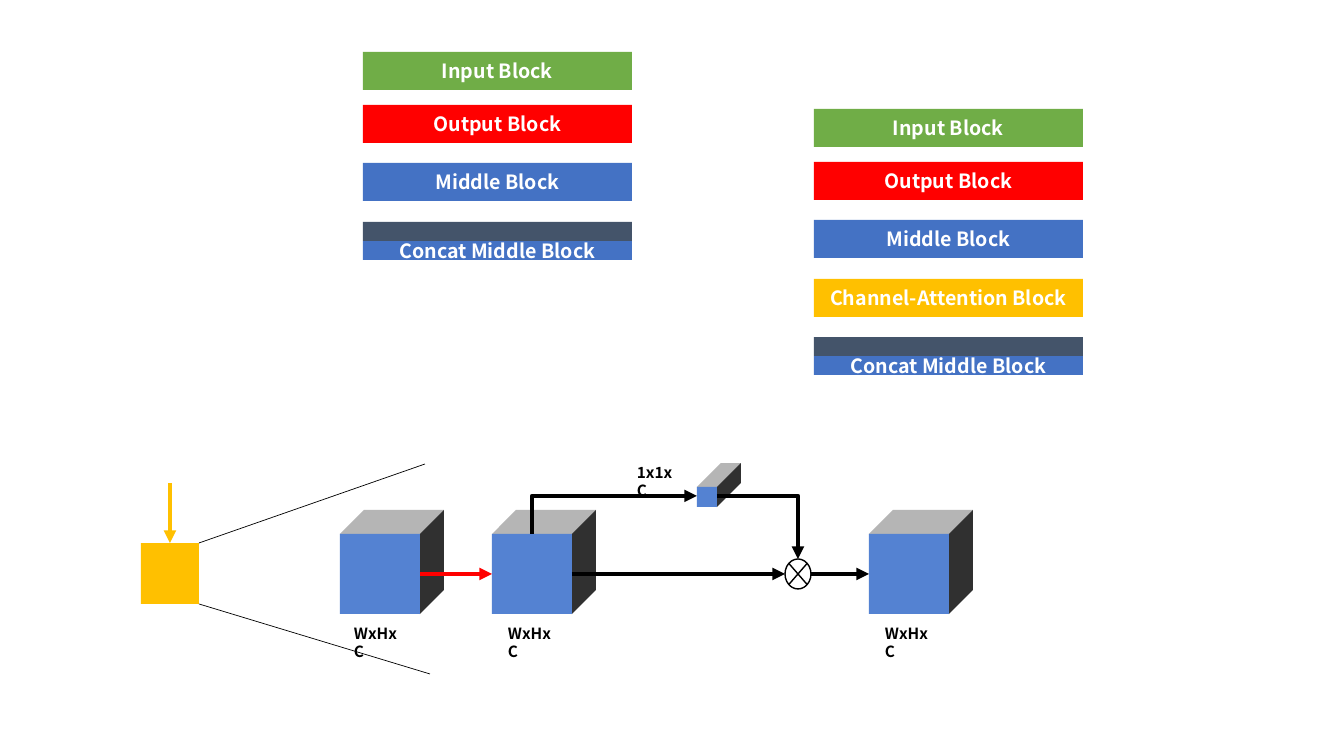
from lxml import etree
from pptx import Presentation
from pptx.dml.color import RGBColor
from pptx.enum.shapes import MSO_CONNECTOR as Link, MSO_SHAPE as Shape
from pptx.enum.text import MSO_ANCHOR as Anchor, PP_ALIGN as Align
from pptx.oxml.ns import qn
from pptx.util import Pt

PX = 914400 / 100.8
FONT = "Noto Sans CJK SC"
BLACK = RGBColor(0x00, 0x00, 0x00)
WHITE = RGBColor(0xFF, 0xFF, 0xFF)
GREEN = RGBColor(0x70, 0xAD, 0x47)
RED = RGBColor(0xFF, 0x00, 0x00)
BLUE = RGBColor(0x44, 0x72, 0xC4)
AMBER = RGBColor(0xFF, 0xC0, 0x00)
SLATE = RGBColor(0x44, 0x54, 0x6A)
FRONT = RGBColor(0x54, 0x82, 0xD2)
LID = RGBColor(0xB5, 0xB5, 0xB5)
SIDE = RGBColor(0x30, 0x30, 0x30)

TOP, LEFT, RIGHT = 0, 1, 3
BLOCK_WIDTH, BLOCK_HEIGHT = 269, 38
CUBE, DEPTH = 80, 24
CUBE_TOP, FLOW_Y, BRANCH_Y = 534, 574, 496


def px(*lengths):
    return [round(length * PX) for length in lengths]


def paint(shape, color):
    shape.shadow.inherit = False
    shape.fill.solid()
    shape.fill.fore_color.rgb = color
    shape.line.fill.background()


def add_text(shape, text, size, color):
    paragraph = shape.text_frame.paragraphs[0]
    paragraph.text = text
    font = paragraph.runs[0].font
    font.name, font.size, font.bold = FONT, Pt(size), True
    font.color.rgb = color
    return paragraph


def add_box(page, left, top, width, height, color, text=""):
    box = page.shapes.add_shape(Shape.RECTANGLE, *px(left, top, width, height))
    paint(box, color)
    if text:
        box.text_frame.vertical_anchor = Anchor.MIDDLE
        box.text_frame.word_wrap = True
        add_text(box, text, 14, WHITE).alignment = Align.CENTER
    return box


def add_stack(page, left, top, blocks):
    """Stack the named blocks and close with the two-tone concat block."""
    for row, (text, color) in enumerate(blocks):
        add_box(page, left, top + row_offset(row), BLOCK_WIDTH, BLOCK_HEIGHT, color, text)
    half = BLOCK_HEIGHT // 2
    concat_top = top + row_offset(len(blocks))
    add_box(page, left, concat_top, BLOCK_WIDTH, half, SLATE)
    add_box(page, left, concat_top + half, BLOCK_WIDTH, half, BLUE, "Concat Middle Block")


def row_offset(row):
    """The first gap is tighter than the others."""
    return 53 + (row - 1) * 117 // 2 if row else 0


def add_face(page, corners, color):
    points = [tuple(px(*corner)) for corner in corners]
    builder = page.shapes.build_freeform(*points[0])
    builder.add_line_segments(points[1:], close=True)
    paint(builder.convert_to_shape(), color)


def add_cube(page, left, top, size):
    """Draw a solid block and return its front face."""
    right, bottom = left + size, top + size
    back = (right + DEPTH, top - DEPTH)
    add_face(page, [(left, top), (left + DEPTH, top - DEPTH), back, (right, top)], LID)
    add_face(page, [(right, top), back, (right + DEPTH, bottom - DEPTH), (right, bottom)], SIDE)
    return add_box(page, left, top, size, size, FRONT)


def add_label(page, left, top, width, text):
    label = page.shapes.add_textbox(*px(left, top, width, 29))
    label.text_frame.word_wrap = True
    add_text(label, text, 11, BLACK)


def add_line(page, start, end, color=BLACK, width=3, arrow=True, kind=Link.STRAIGHT):
    line = page.shapes.add_connector(kind, *px(*start, *end))
    line.line.color.rgb = color
    line.line.width = Pt(width)
    if arrow:
        etree.SubElement(line.line._get_or_add_ln(), qn("a:tailEnd"), type="triangle")
    etree.SubElement(line._element.spPr, qn("a:effectLst"))
    return line


def add_elbow(page, start, end, rise_first=False):
    """Arrow with one corner; rise_first goes up before it goes right."""
    if rise_first:
        # A flipped frame turned by a quarter about the same centre
        middle_x, middle_y = (start[0] + end[0]) / 2, (start[1] + end[1]) / 2
        half_run, half_rise = (end[0] - start[0]) / 2, (start[1] - end[1]) / 2
        start = (middle_x + half_rise, middle_y + half_run)
        end = (middle_x - half_rise, middle_y - half_run)
    elbow = add_line(page, start, end, kind=Link.ELBOW)
    properties = elbow._element.spPr
    properties.find(qn("a:prstGeom")).set("prst", "bentConnector2")
    if rise_first:
        properties.find(qn("a:xfrm")).set("rot", "5400000")


def add_attention_flow(page):
    square = add_box(page, 141, 543, 58, 61, AMBER)
    add_line(page, (170, 483), (170, 543), AMBER).end_connect(square, TOP)
    add_line(page, (199, 543), (425, 464), width=0.5, arrow=False)
    add_line(page, (199, 604), (430, 674), width=0.5, arrow=False)

    source, feature, result = [add_cube(page, left, CUBE_TOP, CUBE) for left in (340, 492, 869)]
    add_cube(page, 697, 487, 20)
    junction = page.shapes.add_shape(Shape.FLOWCHART_SUMMING_JUNCTION, *px(785, 559, 26, 30))
    paint(junction, WHITE)
    junction.line.color.rgb = BLACK
    junction.line.width = Pt(1)

    convolution = add_line(page, (420, FLOW_Y), (492, FLOW_Y), RED)
    convolution.begin_connect(source, RIGHT)
    convolution.end_connect(feature, LEFT)
    add_line(page, (572, FLOW_Y), (785, FLOW_Y)).begin_connect(feature, RIGHT)
    add_line(page, (811, FLOW_Y), (869, FLOW_Y)).end_connect(result, LEFT)
    add_elbow(page, (532, CUBE_TOP), (697, BRANCH_Y), rise_first=True)
    add_elbow(page, (717, BRANCH_Y), (798, 559))

    for left in (344, 498, 875):
        add_label(page, left, 619, 68, "WxHxC")
    add_label(page, 627, 458, 62, "1x1xC")


def main():
    deck = Presentation()
    deck.slide_width, deck.slide_height = px(1344, 756)
    page = deck.slides.add_slide(deck.slide_layouts[6])
    add_attention_flow(page)
    blocks = [("Input Block", GREEN), ("Output Block", RED), ("Middle Block", BLUE)]
    add_stack(page, 814, 109, blocks + [("Channel-Attention Block", AMBER)])
    add_stack(page, 363, 52, blocks)
    deck.save("out.pptx")


if __name__ == "__main__":
    main()
